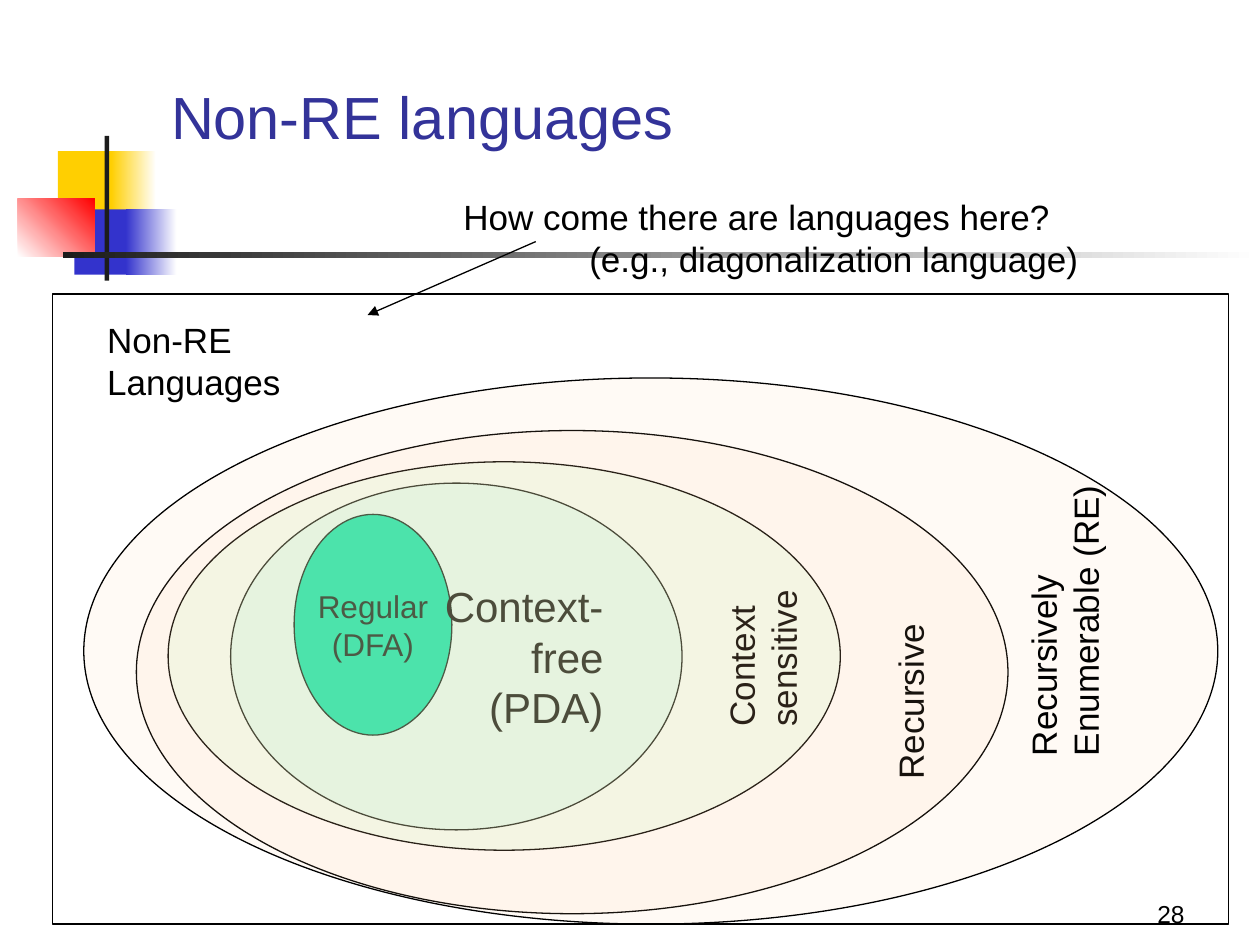
from lxml.etree import SubElement as Sub
from pptx import Presentation
from pptx.dml.color import RGBColor as RGB
from pptx.enum.shapes import MSO_CONNECTOR as Link, MSO_SHAPE as Kind
from pptx.enum.text import MSO_ANCHOR as Anchor, PP_ALIGN as Align
from pptx.oxml.ns import qn
from pptx.util import Cm, Pt

HUES = {
    "gold": "FFCF01", "blue": "3333CC", "red": "FF0000", "dark": "1C1C1C",
    "white": "FFFFFF", "black": "000000", "title": "333399",
    "green": "00E4A8", "mint": "CCFFCC", "peach": "FFCC99",
}


def draw(kind, box, fill=None, end=None, turn=0, alpha=None, edge=None):
    item = slide.shapes.add_shape(kind, *map(Cm, box))
    item.shadow.inherit = False
    if end:
        item.fill.gradient()
        item.fill.gradient_angle = turn
        for stop, hue in zip(item.fill.gradient_stops, (fill, end)):
            stop.color.rgb = RGB.from_string(HUES[hue])
    elif fill:
        item.fill.solid()
        item.fill.fore_color.rgb = RGB.from_string(HUES[fill])
        if alpha:
            tone = item.fill._xPr.find(qn("a:solidFill"))[0]
            Sub(tone, qn("a:alpha"), val=str(alpha * 1000))
    else:
        item.fill.background()
    if edge:
        item.line.color.rgb = RGB.from_string(HUES[edge])
        item.line.width = Pt(0.75)
    else:
        item.line.fill.background()
    return item


def write(item, text, size=20, hue="black", align=Align.LEFT, **form):
    frame = item.text_frame
    frame.text = text
    for key, val in ({"word_wrap": False, "vertical_anchor": Anchor.TOP} | form).items():
        setattr(frame, key, val)
    look = {"name": "Arial", "size": Pt(size)}
    for para in frame.paragraphs:
        para.alignment = align
        for run in para.runs:
            for key, val in look.items():
                setattr(run.font, key, val)
            run.font.color.rgb = RGB.from_string(HUES[hue])


deck = Presentation()
deck.slide_width, deck.slide_height = Cm(25.4), Cm(19.05)
slide = deck.slides.add_slide(deck.slide_layouts[6])

bars = [
    ((1.17, 3.05, 1.22, 1.32), "gold", None, 0),
    ((2.24, 3.05, 0.91, 1.32), "gold", "white", 0),
    ((1.5, 4.22, 1.17, 1.32), "blue", None, 0),
    ((2.54, 4.22, 1.02, 1.32), "blue", "white", 0),
    ((0.36, 4.01, 1.55, 1.17), "white", "red", 45),
    ((2.11, 2.74, 0.09, 2.92), "dark", None, 0),
    ((1.27, 5.08, 24.13, 0.13), "dark", "white", 0),
]
for box, fill, end, turn in bars:
    draw(Kind.RECTANGLE, box, fill, end, turn)

low = {"word_wrap": True, "vertical_anchor": Anchor.BOTTOM}
page = slide.shapes.add_textbox(Cm(18.85), Cm(17.58), Cm(5.28), Cm(1.27))
write(page, "28", 14, align=Align.RIGHT, **low)
title = slide.shapes.add_textbox(Cm(3.2), Cm(0), Cm(21.64), Cm(3.18))
write(title, "Non-RE languages", 34, "title", **low)

rings = [
    ((5.93, 10.37, 3.18, 4.45), "green", None, "Regular\n(DFA)", 18, Align.CENTER),
    ((4.65, 9.74, 9.1, 6.99), "green", 9, "Context-\vfree\n(PDA)", 24, Align.RIGHT),
    ((3.39, 9.31, 13.55, 7.83), "mint", 20, (13.74, 12.29, 3.25, 1.96), "Context\nsensitive", None),
    ((2.75, 8.68, 17.57, 9.74), "peach", 9, (16.51, 13.59, 3.66, 1.09), "Recursive", None),
    ((1.69, 7.62, 22.86, 11.01), "peach", 9, (18.47, 11.53, 5.97, 1.96),
     "Recursively\vEnumerable (RE)", None),
]
for box, fill, alpha, *label, align in rings:
    ring = draw(Kind.OVAL, box, fill, alpha=alpha, edge="black")
    if align:
        write(ring, *label, align=align, vertical_anchor=Anchor.MIDDLE)
    else:
        spot, text = label
        side = slide.shapes.add_textbox(*map(Cm, spot))
        side.rotation = 270
        write(side, text)

outer = slide.shapes.add_textbox(Cm(1.91), Cm(6.3), Cm(5), Cm(1.96))
write(outer, "Non-RE\vLanguages", word_wrap=True)
draw(Kind.RECTANGLE, (1.06, 5.93, 23.71, 12.7), edge="black")
query = slide.shapes.add_textbox(Cm(9.09), Cm(3.81), Cm(14), Cm(1.96))
write(query, "How come there are languages here?\n(e.g., diagonalization language)", word_wrap=True)
query.text_frame.paragraphs[1]._p.get_or_add_pPr().set("marL", str(Cm(2.54)))

arrow = slide.shapes.add_connector(Link.STRAIGHT, Cm(10.8), Cm(4.87), Cm(7.41), Cm(6.35))
arrow.line.color.rgb = RGB.from_string(HUES["black"])
arrow.line.width = Pt(0.75)
Sub(arrow.line._get_or_add_ln(), qn("a:tailEnd"), type="triangle")
Sub(arrow._element.spPr, qn("a:effectLst"))

deck.save("out.pptx")
